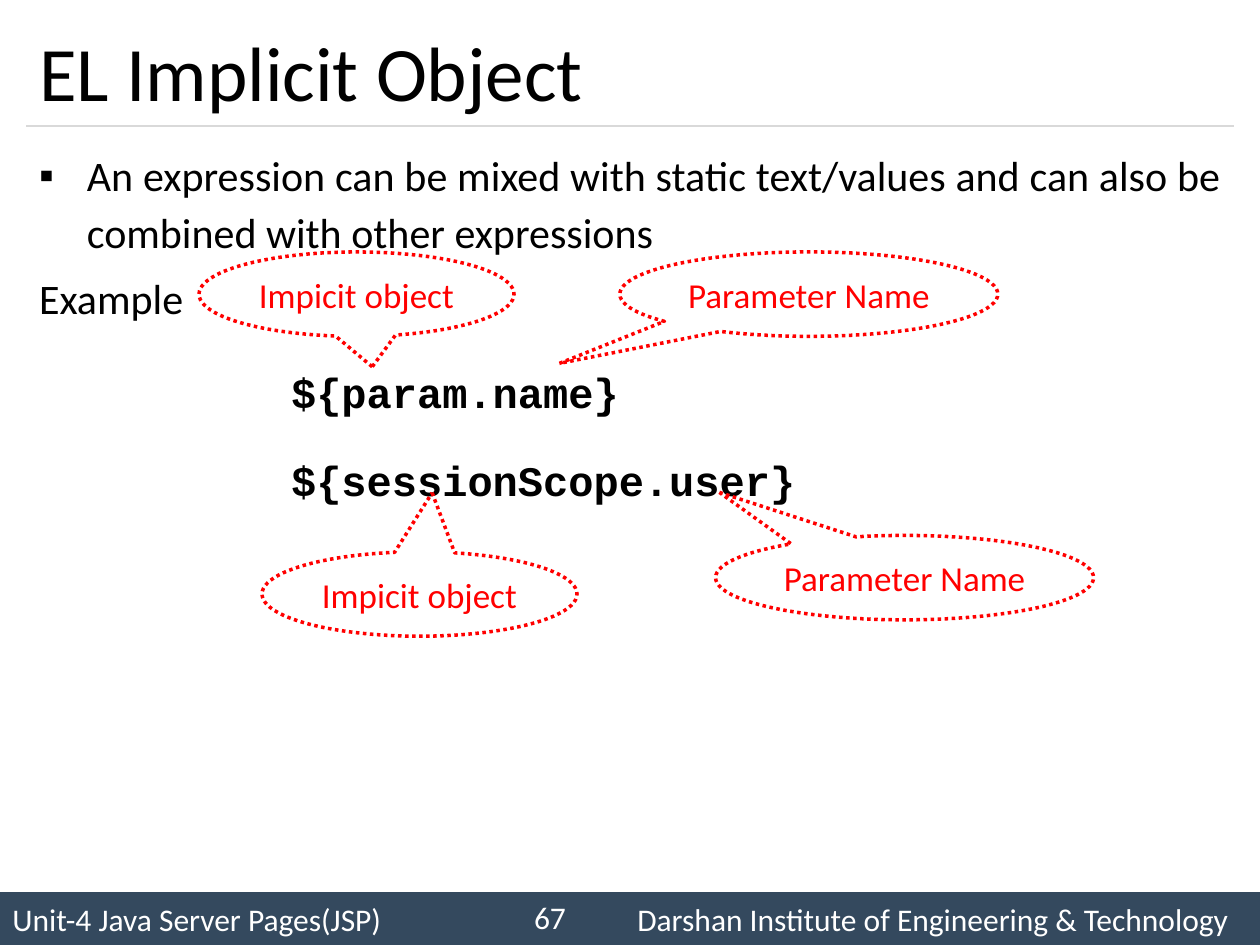
from dataclasses import dataclass

from lxml.etree import SubElement
from pptx import Presentation
from pptx.dml.color import RGBColor
from pptx.enum.dml import MSO_LINE
from pptx.enum.shapes import MSO_CONNECTOR, MSO_SHAPE
from pptx.enum.text import MSO_ANCHOR, MSO_AUTO_SIZE, PP_ALIGN
from pptx.oxml.ns import qn
from pptx.util import Inches, Pt


@dataclass(frozen=True)
class Theme:
    text: str = "000000"
    light: str = "FFFFFF"
    bar: str = "34495E"
    rule: str = "D9D9D9"
    accent: str = "FF0000"
    font: str = "Calibri"
    code_font: str = "Courier New"
    title_size: int = 44
    body_size: int = 24
    label_size: int = 20
    footer_size: int = 18


THEME = Theme()


def set_attrs(obj, values):
    for name, value in values.items():
        setattr(obj, name, value)


def place(sp, box):
    names = ("left", "top", "width", "height")
    set_attrs(sp, dict(zip(names, map(Inches, box))))


def write(p, text, size, color, font=THEME.font, bold=False, **layout):
    """Fill a paragraph with one formatted run."""
    r = p.add_run()
    r.text = text
    set_attrs(r.font, {"name": font, "size": Pt(size), "bold": bold})
    r.font.color.rgb = RGBColor.from_string(color)
    set_attrs(p, layout)


def indent(p, left=0, first=0, bullet=None):
    pPr = p._p.get_or_add_pPr()
    pPr.set("marL", str(Inches(left)))
    pPr.set("indent", str(Inches(first)))
    if bullet:
        SubElement(pPr, qn("a:buChar"), char=bullet)
    else:
        SubElement(pPr, qn("a:buNone"))


def add_title(s, text, box):
    sp = s.shapes.title
    place(sp, box)
    tf = sp.text_frame
    set_attrs(tf, {"vertical_anchor": MSO_ANCHOR.MIDDLE,
                   "auto_size": MSO_AUTO_SIZE.NONE})
    write(tf.paragraphs[0], text, THEME.title_size, THEME.text,
          alignment=PP_ALIGN.LEFT)


def add_body(s, items, box):
    """Items are (text, indent values, run font values, line spacing, gap)."""
    sp = s.placeholders[1]
    place(sp, box)
    tf = sp.text_frame
    tf.auto_size = MSO_AUTO_SIZE.NONE
    for i, (text, margins, font, spacing, gap) in enumerate(items):
        p = tf.add_paragraph() if i else tf.paragraphs[0]
        indent(p, **margins)
        write(p, text, THEME.body_size, THEME.text, **font,
              alignment=PP_ALIGN.JUSTIFY, line_spacing=spacing,
              space_before=Pt(gap))


def add_rule(s, left, right, y):
    line = s.shapes.add_connector(MSO_CONNECTOR.STRAIGHT, Inches(left),
                                  Inches(y), Inches(right), Inches(y))
    line.line.color.rgb = RGBColor.from_string(THEME.rule)
    line.line.width = Pt(0.75)
    SubElement(line._element.spPr, qn("a:effectLst"))


def add_footer(s, unit, institute, number, box):
    bar = s.shapes.add_shape(MSO_SHAPE.RECTANGLE, *map(Inches, box))
    bar.shadow.inherit = False
    bar.fill.solid()
    bar.fill.fore_color.rgb = RGBColor.from_string(THEME.bar)
    bar.line.fill.background()
    bar.text_frame.vertical_anchor = MSO_ANCHOR.MIDDLE
    p = bar.text_frame.paragraphs[0]
    tabs = SubElement(p._p.get_or_add_pPr(), qn("a:tabLst"))
    SubElement(tabs, qn("a:tab"), pos=str(Inches(4.96)), algn="l")
    write(p, f"{unit}\t{institute}", THEME.footer_size, THEME.light,
          alignment=PP_ALIGN.LEFT)

    # Slide number
    sp = s.shapes.add_textbox(*map(Inches, (3.92, box[1], 0.67, 0.4)))
    tf = sp.text_frame
    set_attrs(tf, {"word_wrap": True, "vertical_anchor": MSO_ANCHOR.MIDDLE})
    write(tf.paragraphs[0], number, THEME.footer_size, THEME.light,
          alignment=PP_ALIGN.RIGHT)


def add_callout(s, text, left, top, width, pointer):
    sp = s.shapes.add_shape(MSO_SHAPE.OVAL_CALLOUT,
                            *map(Inches, (left, top, width, 0.67)))
    sp.shadow.inherit = False
    sp.adjustments[0], sp.adjustments[1] = pointer
    sp.fill.background()
    sp.line.color.rgb = RGBColor.from_string(THEME.accent)
    set_attrs(sp.line, {"width": Pt(2), "dash_style": MSO_LINE.ROUND_DOT})
    tf = sp.text_frame
    tf.vertical_anchor = MSO_ANCHOR.MIDDLE
    write(tf.paragraphs[0], text, THEME.label_size, THEME.accent,
          alignment=PP_ALIGN.CENTER)


def main():
    prs = Presentation()
    prs.slide_width, prs.slide_height = Inches(10), Inches(7.5)
    s = prs.slides.add_slide(prs.slide_layouts[1])

    # Footer and heading
    add_footer(s, "Unit-4 Java Server Pages(JSP)",
               "Darshan Institute of Engineering & Technology", "67",
               (0, 7.08, 10, 0.42))
    add_rule(s, 0.21, 9.79, 1)
    add_title(s, "EL Implicit Object", (0.21, 0.12, 9.58, 0.88))

    # Explanation and code examples
    code = {"font": THEME.code_font, "bold": True}
    add_body(s, [
        ("An expression can be mixed with static text/values and can also "
         "be combined with other expressions",
         {"left": 0.38, "first": -0.38, "bullet": "▪"}, {}, 1.14, 0),
        ("Example", {}, {}, 1.14, 4.8),
        ("${param.name}", {"left": 2}, code, 1.5, 10.5),
        ("${sessionScope.user}", {"left": 2}, code, 1.5, 7),
    ], (0.21, 1.08, 9.58, 5.83))

    # Callouts pointing at the parts of each expression
    for text, left, top, width, pointer in (
        ("Impicit object", 1.58, 2, 2.5, (0.05, 0.86)),
        ("Parameter Name", 4.92, 2, 3, (-0.66, 0.82)),
        ("Impicit object", 2.08, 4.38, 2.5, (0.04, -1.2)),
        ("Parameter Name", 5.68, 4.25, 3, (-0.49, -1.01)),
    ):
        add_callout(s, text, left, top, width, pointer)

    prs.save("out.pptx")


if __name__ == "__main__":
    main()
